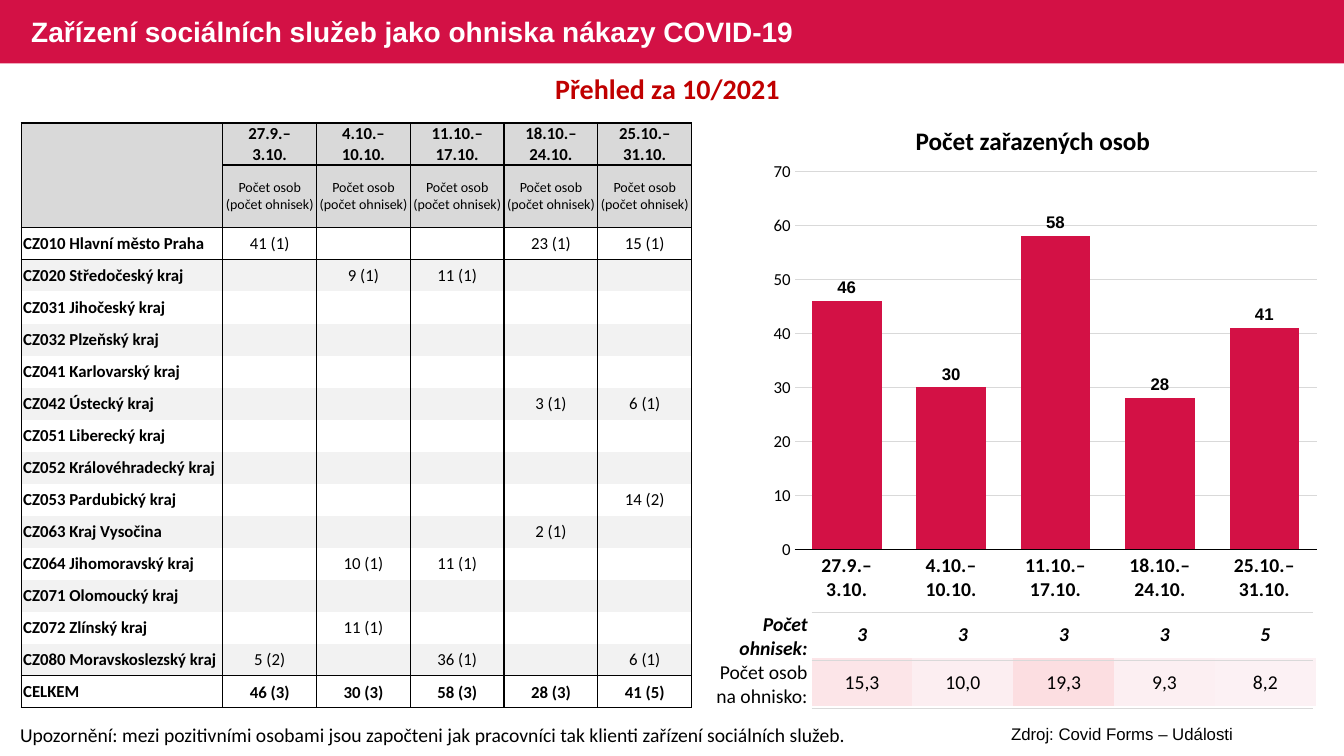
from lxml import etree
from pptx import Presentation
from pptx.chart.data import CategoryChartData
from pptx.dml.color import RGBColor
from pptx.enum.chart import XL_CHART_TYPE as ChartType, XL_LABEL_POSITION as LabelPosition
from pptx.enum.chart import XL_TICK_MARK as TickMark
from pptx.enum.shapes import MSO_SHAPE as Preset
from pptx.enum.text import MSO_ANCHOR as Anchor, PP_ALIGN as Align
from pptx.oxml.ns import qn
from pptx.util import Inches, Pt

# Content
TITLE = "Zařízení sociálních služeb jako ohniska nákazy COVID-19"
SUBTITLE = "Přehled za 10/2021"
CHART_TITLE = "Počet zařazených osob"
NOTE = ("Upozornění: mezi pozitivními osobami jsou započteni jak pracovníci "
        "tak klienti zařízení sociálních služeb.")
SOURCE = "Zdroj: Covid Forms – Události"
PERIODS = ["27.9.–\n3.10.", "4.10.–\n10.10.", "11.10.–\n17.10.", "18.10.–\n24.10.", "25.10.–\n31.10."]
UNIT = "Počet osob (počet ohnisek)"
REGIONS = [
    ("CZ010 Hlavní město Praha", "41 (1)", "", "", "23 (1)", "15 (1)"),
    ("CZ020 Středočeský kraj", "", "9 (1)", "11 (1)", "", ""),
    ("CZ031 Jihočeský kraj", "", "", "", "", ""),
    ("CZ032 Plzeňský kraj", "", "", "", "", ""),
    ("CZ041 Karlovarský kraj", "", "", "", "", ""),
    ("CZ042 Ústecký kraj", "", "", "", "3 (1)", "6 (1)"),
    ("CZ051 Liberecký kraj", "", "", "", "", ""),
    ("CZ052 Královéhradecký kraj", "", "", "", "", ""),
    ("CZ053 Pardubický kraj", "", "", "", "", "14 (2)"),
    ("CZ063 Kraj Vysočina", "", "", "", "2 (1)", ""),
    ("CZ064 Jihomoravský kraj", "", "10 (1)", "11 (1)", "", ""),
    ("CZ071 Olomoucký kraj", "", "", "", "", ""),
    ("CZ072 Zlínský kraj", "", "11 (1)", "", "", ""),
    ("CZ080 Moravskoslezský kraj", "5 (2)", "", "36 (1)", "", "6 (1)"),
]
TOTALS = ("CELKEM", "46 (3)", "30 (3)", "58 (3)", "28 (3)", "41 (5)")
PERSONS = [46, 30, 58, 28, 41]
OUTBREAKS = ["3", "3", "3", "3", "5"]
PER_OUTBREAK = ["15,3", "10,0", "19,3", "9,3", "8,2"]
PER_OUTBREAK_FILLS = ["FCE5E8", "FCEEF1", "FCDEE1", "FCEFF2", "FCF1F4"]
SUMMARY_LABELS = ["Počet ohnisek:", "Počet osob na ohnisko:"]

THEME = {
    "red": "D31145", "dark_red": "C00000", "black": "000000", "white": "FFFFFF",
    "header": "D9D9D9", "band": "F2F2F2", "grid": "D9D9D9",
    "body": "Calibri", "display": "Arial",
    "title": 20, "heading": 18, "large": 14, "regular": 12, "small": 10,
}
PLAIN_STYLE = "{2D5ABB26-0587-4C30-8999-92F81FD0307C}"
VALUE_INSETS = (0.01, 0.01, 0.01, 0)
REGION_INSETS = (0.02, 0, 0.02, 0)
LABEL_INSETS = (0.01, 0, 0.04, 0)


def set_font(font, size="regular", color="black", name="body", **styles):
    font.color.rgb = RGBColor.from_string(THEME[color])
    for key, value in {"size": Pt(THEME[size]), "name": THEME[name], "bold": False, **styles}.items():
        setattr(font, key, value)


def write(frame, text, align=Align.CENTER, **font_values):
    paragraph = frame.paragraphs[0]
    paragraph.text = text
    paragraph.alignment = align
    for run in paragraph.runs:
        set_font(run.font, **font_values)
    return paragraph


def add_text(slide, box, text, **values):
    frame = slide.shapes.add_textbox(*map(Inches, box)).text_frame
    frame.word_wrap = True
    write(frame, text, **values)


def add_plain_table(slide, left, top, widths, heights):
    frame = slide.shapes.add_table(len(heights), len(widths), Inches(left), Inches(top),
                                   Inches(sum(widths)), Inches(sum(heights)))
    table = frame.table
    table.first_row = table.horz_banding = False
    table._tbl.tblPr.find(qn("a:tableStyleId")).text = PLAIN_STYLE
    for column, width in zip(table.columns, widths):
        column.width = Inches(width)
    for row, height in zip(table.rows, heights):
        row.height = Inches(height)
    return table


def fill_cell(cell, text="", insets=VALUE_INSETS, fill=None, borders=None, **values):
    cell.vertical_anchor = Anchor.MIDDLE
    for side, inset in zip(("left", "top", "right", "bottom"), insets):
        setattr(cell, "margin_" + side, Inches(inset))
    paragraph = write(cell.text_frame, text, **values)
    if not text:  # small empty line, so the row keeps its height
        etree.SubElement(paragraph._p, qn("a:endParaRPr"), sz=str(THEME["small"] * 100))
    properties = cell._tc.get_or_add_tcPr()
    for side in "LRTB":
        color, width = (borders or {}).get(side) or (None, 0)
        if width:
            line = etree.SubElement(properties, qn("a:ln" + side), w=str(Pt(width)))
            solid = etree.SubElement(line, qn("a:solidFill"))
            etree.SubElement(solid, qn("a:srgbClr"), val=THEME[color])
    if fill:
        cell.fill.solid()
        cell.fill.fore_color.rgb = RGBColor.from_string(fill)


def add_region_table(slide):
    rows = [("", *PERIODS), ("", *[UNIT] * len(PERIODS)), *REGIONS, TOTALS]
    last = len(rows) - 1
    heights = [0.41, 0.62] + [0.318] * (last - 1)
    table = add_plain_table(slide, 0.21, 1.22, [2] + [0.93] * len(PERIODS), heights)
    rules = {0: 1, 1: 1, 2: 0.5, last: 1, last + 1: 1}  # line width above each row

    def rule_above(row, column):
        return "black", 0 if (row, column) == (1, 0) else rules.get(row, 0)

    for r, row in enumerate(rows):
        fill = THEME["header"] if r < 2 else THEME["band"] if r % 2 and r < last else None
        for c, text in enumerate(row):
            borders = {"L": ("black", 1), "R": ("black", 1),
                       "T": rule_above(r, c), "B": rule_above(r + 1, c)}
            fill_cell(table.cell(r, c), text, REGION_INSETS if c == 0 else VALUE_INSETS, fill, borders,
                      align=Align.CENTER if c else Align.LEFT,
                      size="small" if r == 1 else "regular", bold=c == 0 or r in (0, last))


def add_summary_tables(slide):
    values = add_plain_table(slide, 8.05, 6.06, [1] * len(PERIODS), [0.47] * 2)
    for c, (count, ratio, fill) in enumerate(zip(OUTBREAKS, PER_OUTBREAK, PER_OUTBREAK_FILLS)):
        fill_cell(values.cell(0, c), count, size="large", bold=True, italic=True)
        fill_cell(values.cell(1, c), ratio, fill=fill, size="large")
    rule_columns = 7
    labels = add_plain_table(slide, 7.04, 6.08, [1.01] + [0.71] * rule_columns, [0.465] * 2)
    for r, text in enumerate(SUMMARY_LABELS):
        fill_cell(labels.cell(r, 0), text, LABEL_INSETS, align=Align.RIGHT,
                  size="large", bold=r == 0, italic=r == 0)
        for c in range(1, rule_columns + 1):
            fill_cell(labels.cell(r, c), borders={"T": ("grid", 1), "B": ("grid", 1)})


def add_persons_chart(slide):
    data = CategoryChartData()
    data.categories = PERIODS
    data.add_series("Počet osob", PERSONS)
    box = map(Inches, (7.56, 1.51, 5.61, 4.55))
    chart = slide.shapes.add_chart(ChartType.COLUMN_CLUSTERED, *box, data).chart
    chart.has_legend = chart.has_title = False
    set_font(chart.font, "large", name="display", bold=True)
    plot = chart.plots[0]
    plot.gap_width = 50
    plot.vary_by_categories = False
    bars = plot.series[0].format.fill
    bars.solid()
    bars.fore_color.rgb = RGBColor.from_string(THEME["red"])
    plot.has_data_labels = True
    plot.data_labels.show_value = True
    plot.data_labels.position = LabelPosition.OUTSIDE_END
    set_font(plot.data_labels.font, name="display", bold=True)
    # Axes
    periods, persons = chart.category_axis, chart.value_axis
    for axis in (periods, persons):
        axis.major_tick_mark = axis.minor_tick_mark = TickMark.NONE
    set_font(periods.tick_labels.font, "large", bold=True)
    set_font(persons.tick_labels.font)
    for key, value in {"minimum_scale": 0, "maximum_scale": 70, "major_unit": 10}.items():
        setattr(persons, key, value)
    persons.format.line.fill.background()
    for line, color in ((periods.format.line, "black"), (persons.major_gridlines.format.line, "grid")):
        line.width = Pt(0.75)
        line.color.rgb = RGBColor.from_string(THEME[color])


def main():
    presentation = Presentation()
    presentation.slide_width, presentation.slide_height = Inches(13.33), Inches(7.5)
    slide = presentation.slides.add_slide(presentation.slide_layouts[5])

    # Title on its red bar
    bar = slide.shapes.add_shape(Preset.RECTANGLE, 0, 0, presentation.slide_width, Inches(0.63))
    bar.shadow.inherit = False
    bar.fill.solid()
    bar.fill.fore_color.rgb = RGBColor.from_string(THEME["red"])
    bar.line.fill.background()
    title = slide.shapes.title
    title._element.addprevious(bar._element)
    for side, length in zip(("left", "top", "width", "height"), (0.21, 0.02, 8.13, 0.63)):
        setattr(title, side, Inches(length))
    title.text_frame.vertical_anchor = Anchor.MIDDLE
    heading = write(title.text_frame, TITLE, Align.LEFT, size="title", color="white", name="display", bold=True)
    heading.line_spacing = 0.9

    # Tables and chart
    add_region_table(slide)
    add_persons_chart(slide)
    add_summary_tables(slide)

    # Captions and notes
    add_text(slide, (0.21, 0.66, 12.82, 0.44), SUBTITLE, size="title", color="dark_red", bold=True)
    add_text(slide, (7.56, 1.19, 5.37, 0.4), CHART_TITLE, size="heading", bold=True)
    add_text(slide, (0.1, 7.12, 8.52, 0.34), NOTE, align=Align.LEFT, size="large")
    add_text(slide, (9.03, 7.13, 4.2, 0.3), SOURCE, name="display")
    presentation.save("out.pptx")


if __name__ == "__main__":
    main()
